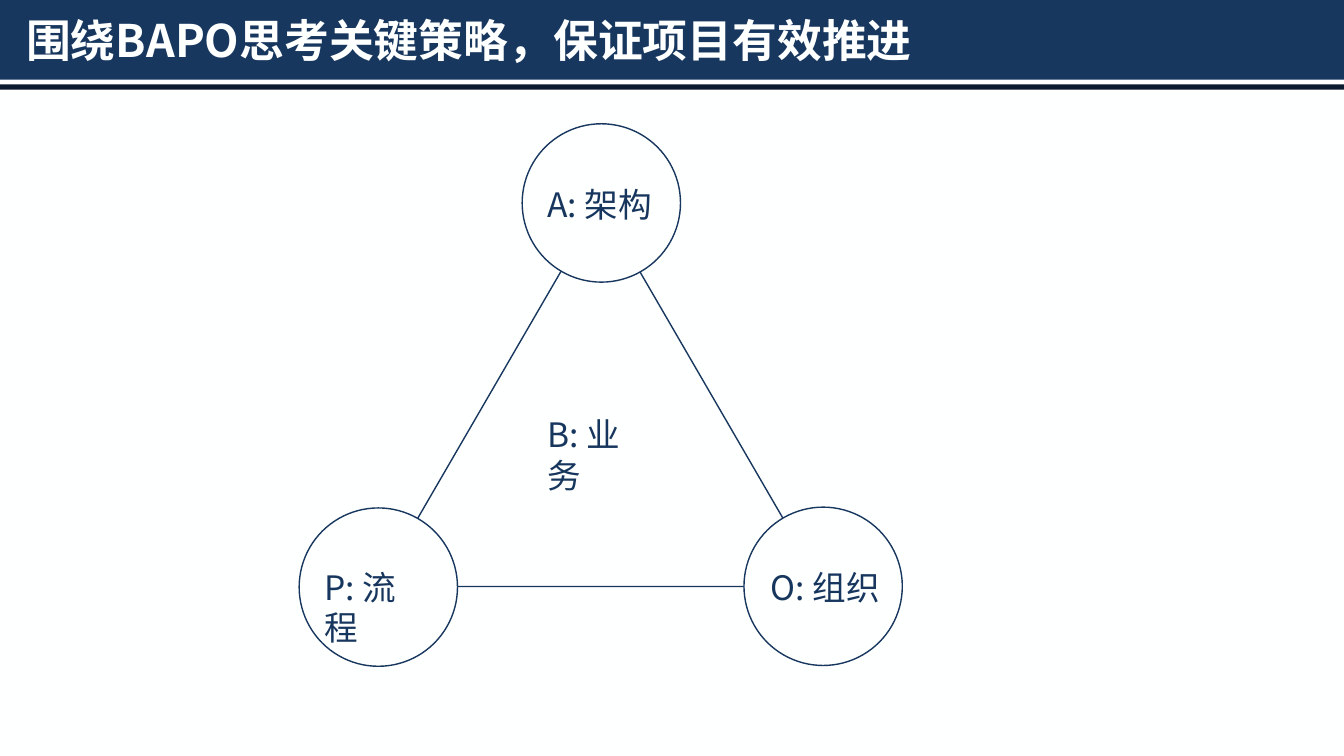
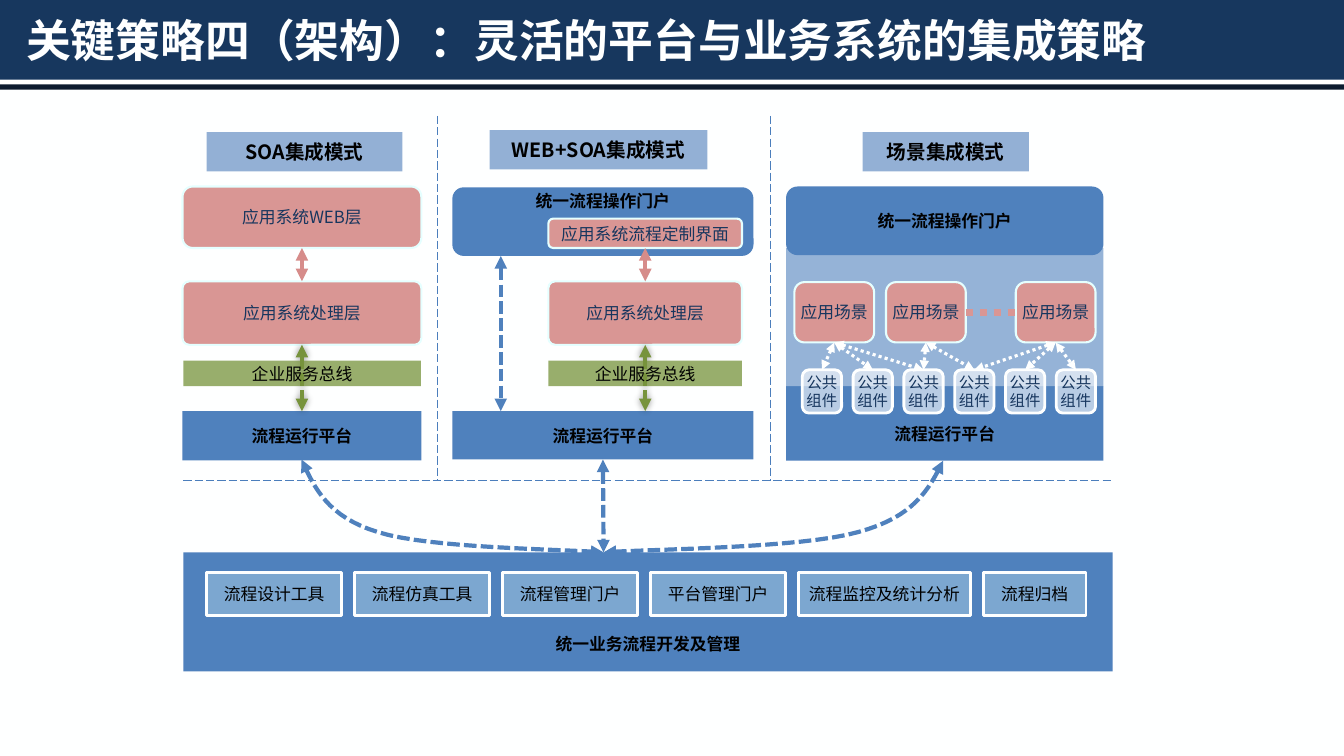
from pptx import Presentation
from pptx.dml.color import RGBColor
from pptx.enum.dml import MSO_LINE as Dash
from pptx.enum.shapes import MSO_CONNECTOR as Conn, MSO_SHAPE as Geo
from pptx.enum.text import MSO_ANCHOR as Anchor, PP_ALIGN as Align
from pptx.oxml.ns import qn
from pptx.util import Cm, Pt
from lxml.etree import SubElement as Sub

# Shared look
FACE = "Noto Sans CJK SC"
NAVY, DEEP, INK, WHITE = "17375E", "0C1B2F", "17365E", "FEFFFF"
BLUE, PINK, GREEN, ICE, BLACK = "4F81BD", "D99694", "77933C", "E5FFFF", "000000"
WIDE, HIGH = 33.87, 19.05

# Text formats: size, colour, weight
TITLE = {"size": 32, "color": WHITE, "bold": True}
LABEL = {"size": 24, "color": INK}
HEAD = {"size": 14, "color": BLACK, "bold": True}
BOLD = {"size": 12, "color": BLACK, "bold": True}
PLAIN = {"size": 12, "color": BLACK}
DARK = {"size": 12, "color": INK}
SMALL = {"size": 11, "color": INK}

# Box styles: preset, fill, opacity, outline, text format
STYLES = {
    "band": (Geo.RECTANGLE, NAVY, 100, None, None),
    "rule": (Geo.RECTANGLE, DEEP, 100, None, None),
    "triangle": (Geo.ISOSCELES_TRIANGLE, WHITE, 100, (NAVY, 1), None),
    "circle": (Geo.OVAL, WHITE, 100, (NAVY, 1), None),
    "head": (Geo.RECTANGLE, "2A63AD", 50, None, HEAD),
    "base": (Geo.RECTANGLE, BLUE, 100, None, BOLD),
    "portal": (Geo.ROUNDED_RECTANGLE, BLUE, 100, None, BOLD),
    "pale": (Geo.RECTANGLE, "95B3D7", 100, None, None),
    "app": (Geo.ROUNDED_RECTANGLE, PINK, 100, (ICE, 1.5), DARK),
    "bus": (Geo.RECTANGLE, GREEN, 75, None, PLAIN),
    "tool": (Geo.RECTANGLE, ICE, 30, (WHITE, 2), PLAIN),
    "part": (Geo.ROUNDED_RECTANGLE, WHITE, 60, (WHITE, 2), SMALL),
}

# Line styles: colour, width, dash, arrows at both ends
LINES = {
    "split": ("4B7EBC", 0.75, Dash.LONG_DASH, False),
    "flow": (BLUE, 3, Dash.SQUARE_DOT, True),
    "call": ("D68C8A", 3, Dash.SQUARE_DOT, True),
    "bus": (GREEN, 3, Dash.SQUARE_DOT, True),
    "use": (WHITE, 2.25, Dash.ROUND_DOT, True),
    "more": (PINK, 5, Dash.ROUND_DOT, False),
}

# Slide 1: triangle of concerns
NAME1 = "围绕BAPO思考关键策略，保证项目有效推进"
DIAM = 3.99
CIRCLES = [(7.54, 12.8), (13.16, 3.12), (18.75, 12.78)]
LABELS = [
    ("B: 业务", 13.54, 10.31, 3.15),
    ("A: 架构", 13.54, 4.5, 3.2),
    ("P: 流程", 7.92, 14.15, 3.1),
    ("O: 组织", 19.18, 14.15, 3.3),
]

# Slide 2: three integration modes over one platform
NAME2 = "关键策略四（架构）：灵活的平台与业务系统的集成策略"
HEADS = [
    ("SOA集成模式", 5.21, 3.33, 4.93),
    ("WEB+SOA集成模式", 12.34, 3.28, 5.49),
    ("场景集成模式", 21.74, 3.33, 4.19),
]
SPLITS = [
    (11.02, 2.92, 11.02, 12.12),
    (19.41, 2.92, 19.41, 12.12),
    (4.62, 12.12, 28.02, 12.12),
]
# key: style, text, left, top, width, height
BOXES = {
    "run1": ("base", "流程运行平台", 4.6, 10.36, 6.02, 1.24),
    "run2": ("base", "流程运行平台", 11.4, 10.36, 7.59, 1.22),
    "run3": ("base", "流程运行平台", 19.81, 9.73, 8, 1.88),
    "field": ("pale", "", 19.81, 6.25, 8, 3.48),
    "web": ("app", "应用系统WEB层", 4.6, 4.7, 6.02, 1.55),
    "core1": ("app", "应用系统处理层", 4.6, 7.09, 6.02, 1.6),
    "core2": ("app", "应用系统处理层", 13.82, 7.09, 4.88, 1.6),
    "door2": ("portal", "统一流程操作门户", 11.4, 4.72, 7.59, 1.73),
    "form": ("app", "应用系统流程定制界面", 13.82, 5.51, 4.88, 0.74),
    "door3": ("portal", "统一流程操作门户", 19.81, 4.7, 8, 1.73),
    "manage": ("base", "统一业务流程开发及管理", 4.62, 13.92, 23.42, 3),
}
BUSES = [(4.62, 5.99), (13.82, 4.88)]
SCENES = [20.02, 22.33, 25.6]
USES = [(0, 0), (0, 1), (0, 2), (1, 3), (1, 2), (2, 3), (2, 4), (2, 5)]
TOOLS = [
    ("流程设计工具", 3.4), ("流程仿真工具", 3.4), ("流程管理门户", 3.4),
    ("平台管理门户", 3.4), ("流程监控及统计分析", 4.32), ("流程归档", 2.59),
]
HUB = (15.21, 13.92)
# Each curve: start, then two cubic pieces
CURVES = [
    [(7.6, 11.58), (7.92, 12.29), (8.26, 13.03), (9.53, 13.41),
     (10.8, 13.82), (14.22, 13.84), HUB],
    [(23.77, 11.61), (23.42, 12.32), (23.04, 13.03), (21.62, 13.41),
     (20.19, 13.82), (16.31, 13.84), HUB],
]


def rgb(code):
    return RGBColor.from_string(code)


def write(shape, text, form, align, anchor, pads):
    frame = shape.text_frame
    look = {"word_wrap": True, "vertical_anchor": anchor}
    sides = ("left", "top", "right", "bottom")
    look.update({f"margin_{side}": Cm(pad) for side, pad in zip(sides, pads)})
    for key, val in look.items():
        setattr(frame, key, val)
    para = frame.paragraphs[0]
    para.alignment = align
    run = para.add_run()
    run.text = text
    font = run.font
    font.color.rgb = rgb(form["color"])
    for key, val in {"size": Pt(form["size"]), "bold": form.get("bold", False),
                     "name": FACE}.items():
        setattr(font, key, val)
    Sub(run.font._element, qn("a:ea"), typeface=FACE)


def box(slide, style, text, x, y, w, h, anchor=Anchor.MIDDLE, pads=(0, 0, 0, 0)):
    geo, fill, alpha, edge, form = STYLES[style]
    shape = slide.shapes.add_shape(geo, Cm(x), Cm(y), Cm(w), Cm(h))
    shape.shadow.inherit = False
    shape.fill.solid()
    shape.fill.fore_color.rgb = rgb(fill)
    if alpha < 100:
        tint = shape.element.spPr.find(qn("a:solidFill"))[0]
        Sub(tint, qn("a:alpha"), val=str(alpha * 1000))
    if edge:
        shape.line.color.rgb = rgb(edge[0])
        shape.line.width = Pt(edge[1])
    else:
        shape.line.fill.background()
    if text:
        write(shape, text, form, Align.CENTER, anchor, pads)
    return shape


def note(slide, text, form, x, y, w, h, anchor=Anchor.TOP):
    shape = slide.shapes.add_textbox(Cm(x), Cm(y), Cm(w), Cm(h))
    write(shape, text, form, Align.LEFT, anchor, (0.25, 0.13, 0.25, 0.13))


def stroke(shape, style):
    color, width, dash, heads = LINES[style]
    line = shape.line
    line.color.rgb = rgb(color)
    for key, val in {"width": Pt(width), "dash_style": dash}.items():
        setattr(line, key, val)
    if heads:
        for end in ("a:headEnd", "a:tailEnd"):
            Sub(shape.element.spPr.find(qn("a:ln")), qn(end), type="triangle")


def link(slide, style, ends, begin=None, end=None):
    """Draw a line; begin and end are (shape, site) joints."""
    line = slide.shapes.add_connector(Conn.STRAIGHT, *map(Cm, ends))
    stroke(line, style)
    if begin:
        line.begin_connect(*begin)
    if end:
        line.end_connect(*end)
    glow = Sub(line.element.spPr, qn("a:effectLst"))
    if style == "bus":
        cast = Sub(glow, qn("a:outerShdw"), blurRad="63500", dist="0", dir="0")
        Sub(Sub(cast, qn("a:srgbClr"), val=BLACK), qn("a:alpha"), val="40000")


def curve(slide, pts, style, steps=16):
    dots = []
    for k in range(0, len(pts) - 1, 3):
        for n in range(1, steps + 1):
            t = n / steps
            mix = ((1 - t) ** 3, 3 * t * (1 - t) ** 2, 3 * t * t * (1 - t), t ** 3)
            dots.append(tuple(Cm(sum(m * p[axis] for m, p in zip(mix, pts[k:k + 4])))
                              for axis in (0, 1)))
    form = slide.shapes.build_freeform(*map(Cm, pts[0]))
    form.add_line_segments(dots, close=False)
    shape = form.convert_to_shape()
    shape.shadow.inherit = False
    shape.fill.background()
    stroke(shape, style)


def page(deck, name):
    slide = deck.slides.add_slide(deck.slide_layouts[6])
    back = slide.background.fill
    back.solid()
    back.fore_color.rgb = rgb(WHITE)
    box(slide, "band", "", 0, 0, WIDE, 2.01)
    box(slide, "rule", "", 0, 2.13, WIDE, 0.13)
    note(slide, name, TITLE, 0.41, 0.23, 33.07, 1.52, Anchor.MIDDLE)
    return slide


def concerns(deck):
    slide = page(deck, NAME1)
    box(slide, "triangle", "", 9.53, 5.13, 11.2, 9.65)
    for x, y in CIRCLES:
        box(slide, "circle", "", x, y, DIAM, DIAM)
    for text, x, y, w in LABELS:
        note(slide, text, LABEL, x, y, w, 1.27)


def modes(deck):
    slide = page(deck, NAME2)
    for text, x, y, w in HEADS:
        box(slide, "head", text, x, y, w, 0.99)
    for ends in SPLITS:
        link(slide, "split", ends)

    # Layers of the three modes
    place = {
        "run3": {"pads": (0, 0.5, 0, 0)},
        "door2": {"anchor": Anchor.TOP},
        "manage": {"anchor": Anchor.BOTTOM, "pads": (0, 0, 0, 0.43)},
    }
    made = {key: box(slide, *spec, **place.get(key, {})) for key, spec in BOXES.items()}
    for key in ("core1", "core2"):
        made[key].adjustments[0] = 0.107

    # Calls between layers, with the service bus across them
    link(slide, "flow", (12.62, 6.45, 12.62, 10.36))
    for top, low in (("web", "core1"), ("form", "core2")):
        link(slide, "call", (0, 0, 0, 0), (made[top], 2), (made[low], 0))
    link(slide, "bus", (0, 0, 0, 0), (made["core1"], 2), (made["run1"], 0))
    link(slide, "bus", (16.26, 8.69, 16.26, 10.36), (made["core2"], 2))
    for x, w in BUSES:
        box(slide, "bus", "企业服务总线", x, 9.09, w, 0.64)

    # Scenes and the components they use
    scenes = [box(slide, "app", "应用场景", x, 7.11, 2.01, 1.52) for x in SCENES]
    parts = [box(slide, "part", "公共组件", 20.22 + 1.28 * n, 9.32, 0.99, 1.09)
             for n in range(6)]
    for a, b in USES:
        link(slide, "use", (0, 0, 0, 0), (scenes[a], 2), (parts[b], 0))
    link(slide, "more", (0, 0, 0, 0), (scenes[1], 3), (scenes[2], 1))

    # Shared tools and their ties to the platforms
    x = 5.21
    for text, w in TOOLS:
        box(slide, "tool", text, x, 14.43, w, 1.09)
        x += w + 0.33
    for pts in CURVES:
        curve(slide, pts, "flow")
    link(slide, "flow", (15.2, 11.58, *HUB), (made["run2"], 2))


def main():
    deck = Presentation()
    deck.slide_width, deck.slide_height = Cm(WIDE), Cm(HIGH)
    concerns(deck)
    modes(deck)
    deck.save("out.pptx")


if __name__ == "__main__":
    main()
